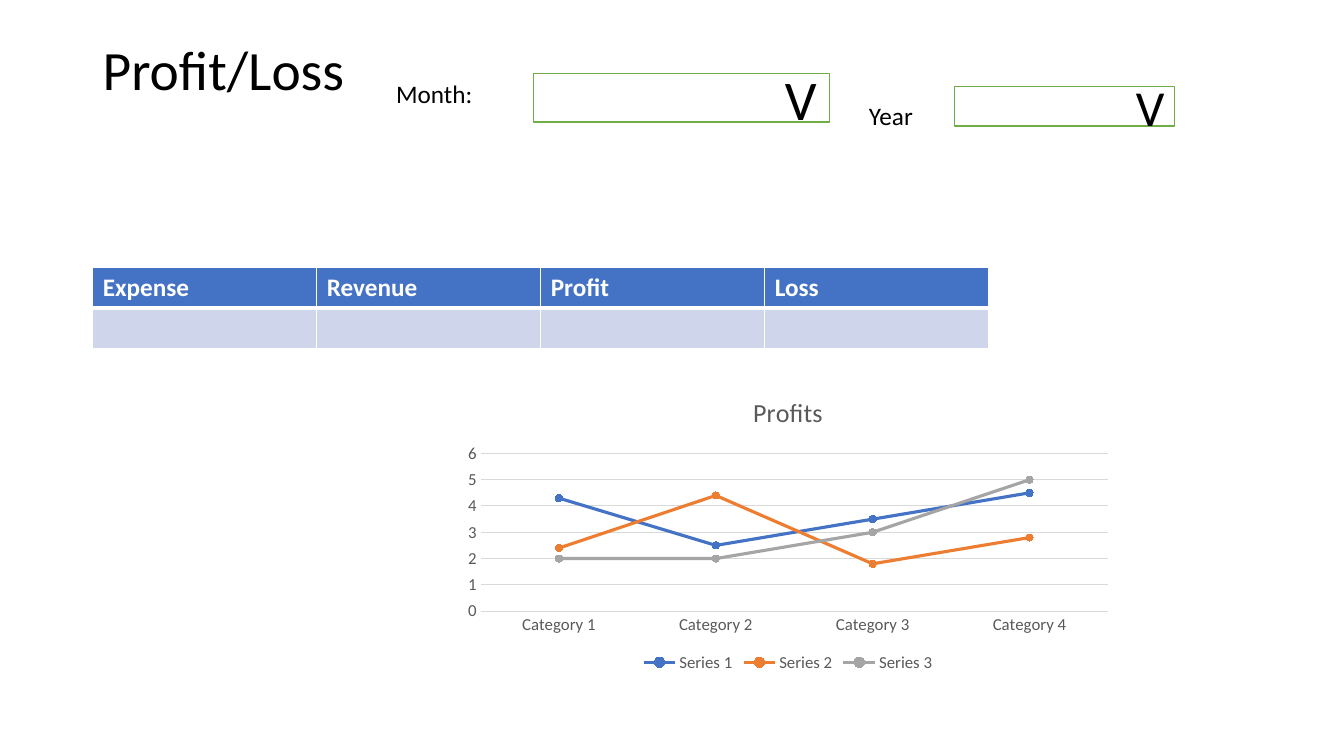
from lxml import etree
from pptx import Presentation
from pptx import util as u
from pptx.chart.data import CategoryChartData
from pptx.dml.color import RGBColor
from pptx.enum import chart as charts, shapes, text
from pptx.oxml import ns

WIDTH, HEIGHT = u.Inches(13.33), u.Inches(7.5)
FONT = "Calibri"
BLACK = RGBColor(0x00, 0x00, 0x00)
WHITE = RGBColor(0xFF, 0xFF, 0xFF)
GRAY_TEXT = RGBColor(0x59, 0x59, 0x59)
GRID_LINE = RGBColor(0xD9, 0xD9, 0xD9)
BLUE = RGBColor(0x44, 0x72, 0xC4)
PALE_BLUE = RGBColor(0xCF, 0xD5, 0xEA)
ORANGE = RGBColor(0xED, 0x7D, 0x31)
GRAY = RGBColor(0xA5, 0xA5, 0xA5)
GREEN = RGBColor(0x70, 0xAD, 0x47)

HEADERS = ("Expense", "Revenue", "Profit", "Loss")
CATEGORIES = [f"Category {number}" for number in range(1, 5)]
SERIES = (
    ("Series 1", (4.3, 2.5, 3.5, 4.5), BLUE),
    ("Series 2", (2.4, 4.4, 1.8, 2.8), ORANGE),
    ("Series 3", (2, 2, 3, 5), GRAY),
)


def place(left, top, width, height):
    """Turn percentages of the slide's size into lengths."""
    return (int(WIDTH * left / 100), int(HEIGHT * top / 100),
            int(WIDTH * width / 100), int(HEIGHT * height / 100))


def set_font(font, size, color, bold=False):
    values = {"name": FONT, "size": u.Pt(size), "bold": bold}
    for name, value in values.items():
        setattr(font, name, value)
    font.color.rgb = color


def set_line(line, color, width):
    line.color.rgb = color
    line.width = u.Pt(width)


def write(frame, words, size, color=BLACK, bold=False):
    paragraph = frame.paragraphs[0]
    run = paragraph.add_run()
    run.text = words
    set_font(run.font, size, color, bold)
    return paragraph


def add_label(slide, area, words, size=18, wrap=False):
    frame = slide.shapes.add_textbox(*place(*area)).text_frame
    frame.word_wrap = wrap
    return frame, write(frame, words, size)


def add_title(slide, area, words):
    frame, paragraph = add_label(slide, area, words, 39.6, wrap=True)
    frame.vertical_anchor = text.MSO_ANCHOR.MIDDLE
    paragraph.line_spacing = 0.9


def add_dropdown(slide, area, size, inset):
    shape = slide.shapes.add_shape(shapes.MSO_SHAPE.RECTANGLE, *place(*area))
    shape.shadow.inherit = False
    shape.fill.solid()
    shape.fill.fore_color.rgb = WHITE
    set_line(shape.line, GREEN, 1)
    frame = shape.text_frame
    frame.vertical_anchor = text.MSO_ANCHOR.MIDDLE
    frame.margin_right = u.Inches(inset)
    write(frame, "V", size).alignment = text.PP_ALIGN.RIGHT


def set_borders(cell, widths):
    """Draw white borders, with widths in points by side."""
    properties = cell._tc.get_or_add_tcPr()
    for index, (side, width) in enumerate(widths.items()):
        border = etree.Element(ns.qn(f"a:ln{side}"), w=str(u.Pt(width)))
        fill = etree.SubElement(border, ns.qn("a:solidFill"))
        etree.SubElement(fill, ns.qn("a:srgbClr"), val=str(WHITE))
        properties.insert(index, border)


def add_summary_table(slide, area):
    table = slide.shapes.add_table(2, len(HEADERS), *place(*area)).table
    for column, header in enumerate(HEADERS):
        for row, fill in enumerate((BLUE, PALE_BLUE)):
            cell = table.cell(row, column)
            cell.fill.solid()
            cell.fill.fore_color.rgb = fill
            top, bottom = ((1, 3), (3, 1))[row]
            set_borders(cell, {"L": 1, "R": 1, "T": top, "B": bottom})
        write(table.cell(0, column).text_frame, header, 18, WHITE, True)


def style_axes(chart):
    for axis in (chart.category_axis, chart.value_axis):
        axis.major_tick_mark = axis.minor_tick_mark = charts.XL_TICK_MARK.NONE
        set_font(axis.tick_labels.font, 12, GRAY_TEXT)
    set_line(chart.category_axis.format.line, GRID_LINE, 0.75)
    chart.value_axis.format.line.fill.background()
    set_line(chart.value_axis.major_gridlines.format.line, GRID_LINE, 0.75)
    scale = {"minimum_scale": 0, "maximum_scale": 6, "major_unit": 1}
    for name, value in scale.items():
        setattr(chart.value_axis, name, value)


def style_series(series, color):
    series.smooth = False
    set_line(series.format.line, color, 2.25)
    marker = series.marker
    marker.style = charts.XL_MARKER_STYLE.CIRCLE
    marker.size = 5
    marker.format.fill.solid()
    marker.format.fill.fore_color.rgb = color
    set_line(marker.format.line, color, 0.75)


def add_profit_chart(slide, area):
    data = CategoryChartData()
    data.categories = CATEGORIES
    for name, values, _ in SERIES:
        data.add_series(name, values)
    chart = slide.shapes.add_chart(
        charts.XL_CHART_TYPE.LINE_MARKERS, *place(*area), data).chart
    set_font(chart.font, 10, BLACK)
    chart.has_title = True
    write(chart.chart_title.text_frame, "Profits", 18.6, GRAY_TEXT)
    chart.chart_title.include_in_layout = False
    chart.has_legend = True
    chart.legend.position = charts.XL_LEGEND_POSITION.BOTTOM
    chart.legend.include_in_layout = False
    set_font(chart.legend.font, 12, GRAY_TEXT)
    style_axes(chart)
    plot = chart.plots[0]
    plot.vary_by_categories = False
    for series, (_, _, color) in zip(plot.series, SERIES):
        style_series(series, color)


def main():
    presentation = Presentation()
    presentation.slide_width, presentation.slide_height = WIDTH, HEIGHT
    slide = presentation.slides.add_slide(presentation.slide_layouts[6])
    add_title(slide, (6.9, 5.33, 26.1, 8.67), "Profit/Loss")
    add_summary_table(slide, (6.9, 35.33, 66.67, 10.8))
    add_profit_chart(slide, (33.83, 50, 49.6, 39.47))
    add_dropdown(slide, (39.68, 9.73, 22.06, 6.4), 40, 0.13)
    add_dropdown(slide, (71.04, 11.47, 16.35, 5.2), 36, 0.1)
    add_label(slide, (28.73, 9.73, 8.1, 5.33), "Month:")
    add_label(slide, (63.92, 12.67, 4.88, 5.33), "Year")
    presentation.save("out.pptx")


if __name__ == "__main__":
    main()
